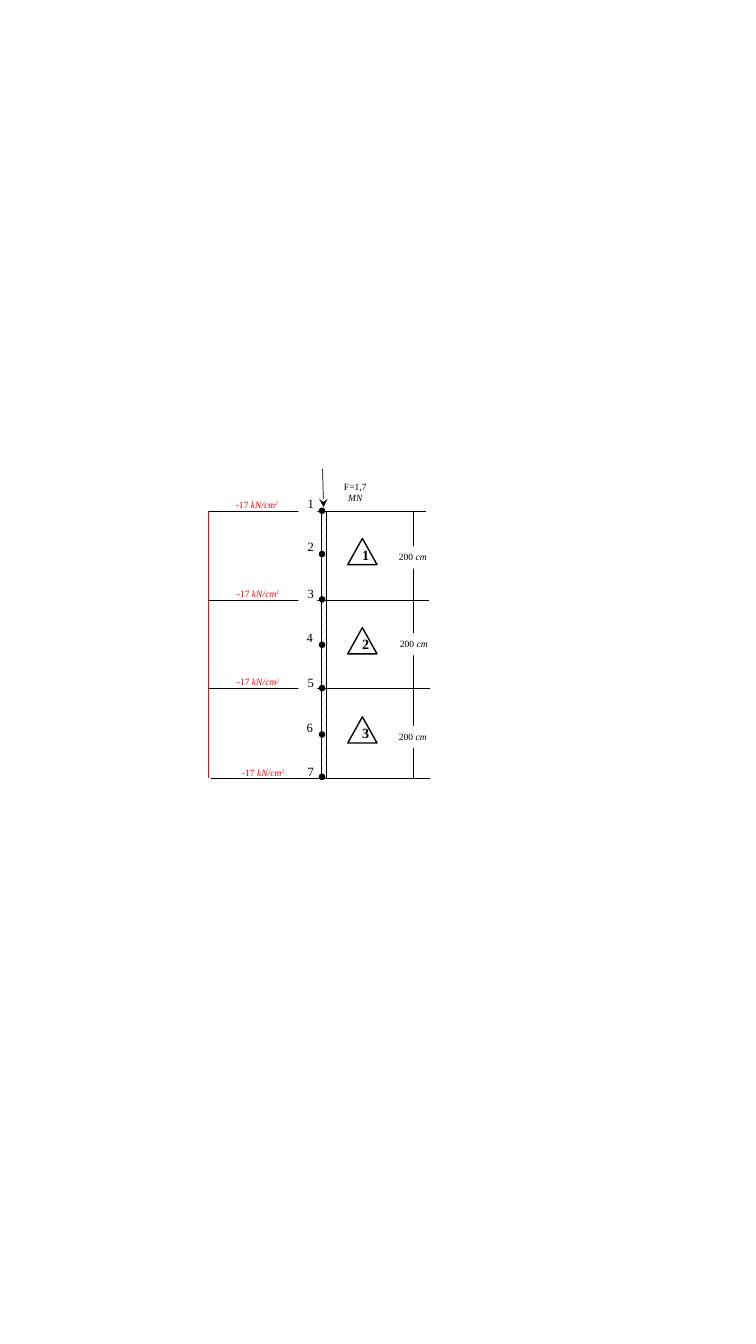
import pptx
import pptx.dml.color
import pptx.enum.dml
import pptx.enum.shapes
import pptx.enum.text
import pptx.oxml.ns
import pptx.util
from lxml import etree

Inches, Pt = pptx.util.Inches, pptx.util.Pt
RGBColor = pptx.dml.color.RGBColor
SHAPE = pptx.enum.shapes.MSO_SHAPE
ALIGN = pptx.enum.text.PP_ALIGN
DASH = pptx.enum.dml.MSO_LINE

BLACK = RGBColor(0, 0, 0)
WHITE = RGBColor(0xFF, 0xFF, 0xFF)
GREY = RGBColor(0xAF, 0xAB, 0xAB)
RED = RGBColor(0xFC, 0x00, 0x07)
FONT = "Times New Roman"

# Runs are (text, italic, superscript)
FORCE = [("F=1,7 ", False, False), ("MN", True, False)]
LENGTH = [("200", False, False), (" cm", True, False)]
STRESS = [("-17", False, False), (" kN/cm", True, False), ("2", True, True)]

COLUMN_TOP, COLUMN_BOTTOM, ELEMENT_HEIGHT = 5.07, 7.72, 0.885
NODE_TOPS = [5.04, 5.47, 5.92, 6.37, 6.8, 7.26, 7.68]
NODE_LABELS = [(2.96, 4.87), (2.96, 5.3), (2.96, 5.76), (2.95, 6.2),
               (2.96, 6.64), (2.95, 7.09), (2.96, 7.53)]
LENGTH_LABELS = [(3.84, 5.42), (3.85, 6.28), (3.84, 7.2)]
STRESS_LABELS = [(2.23, 4.9), (2.24, 5.78), (2.24, 6.66), (2.29, 7.56)]
LEVEL_LINES = [(5.07, 4.22), (5.95, 4.25), (6.83, 4.26)]  # height, right end


def add_figure(page, kind, left, top, width, height, fill=None):
    figure = page.shapes.add_shape(kind, *map(Inches, (left, top, width, height)))
    figure.shadow.inherit = False
    figure.line.color.rgb = BLACK
    figure.line.width = Pt(1)
    if fill is None:
        figure.fill.background()
    else:
        figure.fill.solid()
        figure.fill.fore_color.rgb = fill
    return figure


def add_line(page, start, end, color=BLACK, width=0.25, dash=None, arrow=False):
    line = page.shapes.add_connector(pptx.enum.shapes.MSO_CONNECTOR.STRAIGHT,
                                     *map(Inches, start + end))
    line.line.color.rgb = color
    line.line.width = Pt(width)
    if dash:
        line.line.dash_style = dash
    if arrow:
        tail = etree.SubElement(line.line._get_or_add_ln(),
                                pptx.oxml.ns.qn("a:tailEnd"))
        tail.set("type", "stealth")
    etree.SubElement(line._element.spPr, pptx.oxml.ns.qn("a:effectLst"))


def add_label(page, place, size, runs, points=6.8, color=BLACK, fill=None,
              bold=False, align=ALIGN.CENTER):
    box = page.shapes.add_textbox(*map(Inches, place + size))
    if fill is not None:
        box.fill.solid()
        box.fill.fore_color.rgb = fill
    frame = box.text_frame
    frame.word_wrap = True
    frame.auto_size = pptx.enum.text.MSO_AUTO_SIZE.SHAPE_TO_FIT_TEXT
    para = frame.paragraphs[0]
    para.alignment = align
    for text, italic, superscript in runs:
        span = para.add_run()
        span.text = text
        span.font.name = FONT
        span.font.size = Pt(points)
        span.font.bold = bold
        span.font.italic = italic
        span.font.color.rgb = color
        if superscript:
            span.font._element.set("baseline", "30000")


def main():
    deck = pptx.Presentation()
    deck.slide_width, deck.slide_height = Inches(7.5), Inches(13.33)
    page = deck.slides.add_slide(deck.slide_layouts[6])

    column = add_figure(page, SHAPE.RECTANGLE, 3.19, COLUMN_TOP, 0.05,
                        COLUMN_BOTTOM - COLUMN_TOP)
    column.fill.patterned()
    column.fill.pattern = pptx.enum.dml.MSO_PATTERN.LARGE_CONFETTI
    column.fill.fore_color.rgb = GREY
    column.fill.back_color.rgb = WHITE

    add_line(page, (4.1, COLUMN_TOP), (4.1, COLUMN_BOTTOM), dash=DASH.ROUND_DOT)
    for height, right in LEVEL_LINES:
        add_line(page, (2.06, height), (right, height), dash=DASH.ROUND_DOT)
    for top in NODE_TOPS:
        add_figure(page, SHAPE.OVAL, 3.17, top, 0.05, 0.05, BLACK)

    for index in range(3):
        offset = index * ELEMENT_HEIGHT
        add_figure(page, SHAPE.ISOSCELES_TRIANGLE, 3.45, 5.34 + offset, 0.29, 0.26)
        add_label(page, (3.5, 5.37 + offset), (0.19, 0.27),
                  [(str(index + 1), False, False)], 10.1, bold=True, align=ALIGN.LEFT)

    for number, place in enumerate(NODE_LABELS, 1):
        add_label(page, place, (0.19, 0.25), [(str(number), False, False)], 9,
                  fill=WHITE, align=ALIGN.LEFT)
    for place in LENGTH_LABELS:
        add_label(page, place, (0.51, 0.22), LENGTH, fill=WHITE)

    add_line(page, (2.09, COLUMN_BOTTOM), (4.27, COLUMN_BOTTOM))
    add_line(page, (3.2, 4.65), (3.21, 5.03), width=0.5, arrow=True)
    add_label(page, (3.27, 4.72), (0.51, 0.33), FORCE)
    add_line(page, (2.07, COLUMN_TOP), (2.07, COLUMN_BOTTOM), RED, 0.5)
    for place in STRESS_LABELS:
        add_label(page, place, (0.64, 0.22), STRESS, color=RED)

    deck.save("out.pptx")


if __name__ == "__main__":
    main()
